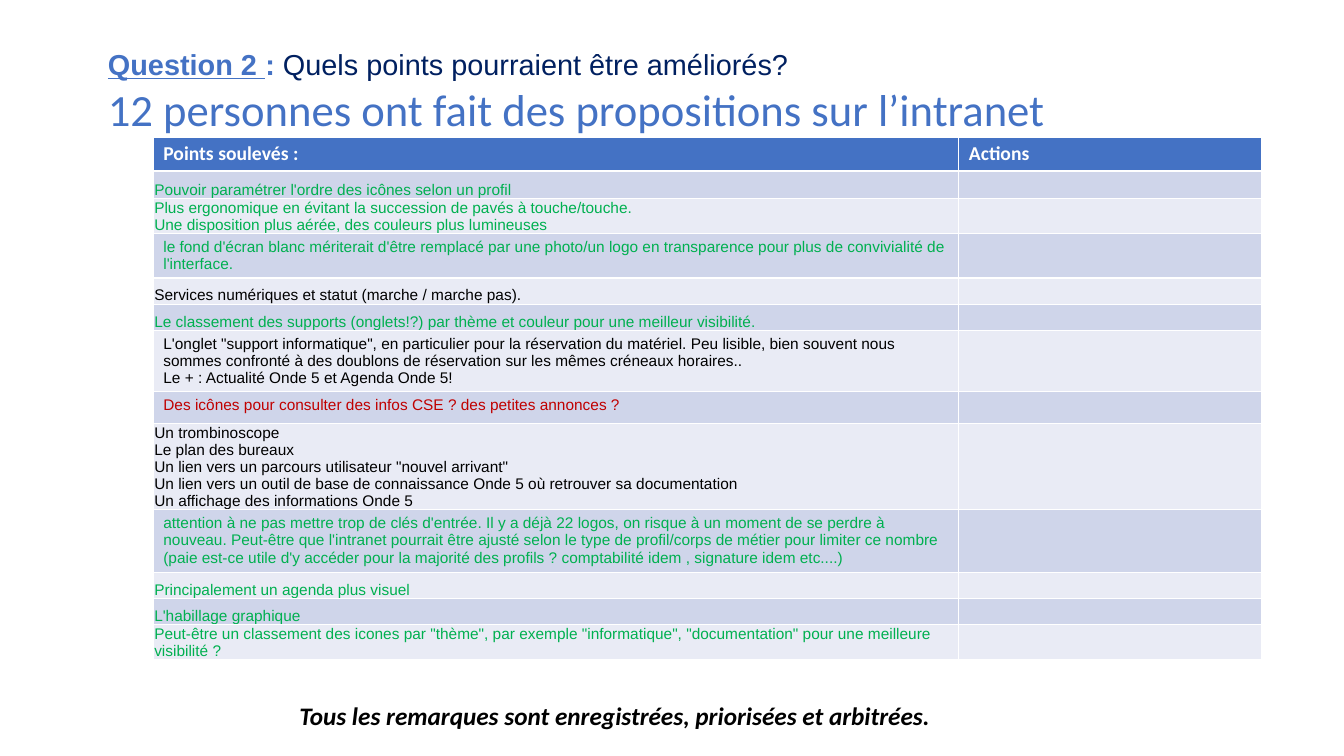
from pptx import Presentation
from pptx import util as u
from pptx.dml import color
from pptx.enum import text
from pptx.oxml import ns

BLUE, NAVY, GREEN, RED = "4472C4", "002060", "00B050", "C00000"
BLACK, WHITE = "000000", "FFFFFF"
BANDS = ("CFD5EA", "E9EBF5")
TIGHT = {"margin_left": u.Inches(0.01), "margin_right": u.Inches(0.01),
         "margin_top": u.Inches(0.01), "margin_bottom": 0,
         "vertical_anchor": text.MSO_ANCHOR.BOTTOM}
ROOMY = {"vertical_anchor": text.MSO_ANCHOR.TOP}

POINTS = [
    (0.27, GREEN, TIGHT, ["Pouvoir paramétrer l'ordre des icônes selon un profil"]),
    (0.35, GREEN, TIGHT, [
        "Plus ergonomique en évitant la succession de pavés à touche/touche.",
        "Une disposition plus aérée, des couleurs plus lumineuses"]),
    (0.44, GREEN, ROOMY, [
        "le fond d'écran blanc mériterait d'être remplacé par une photo/un logo en "
        "transparence pour plus de convivialité de l'interface."]),
    (0.26, BLACK, TIGHT, ["Services numériques et statut (marche / marche pas)."]),
    (0.26, GREEN, TIGHT, [
        "Le classement des supports (onglets!?) par thème et couleur pour une "
        "meilleur visibilité."]),
    (0.61, BLACK, ROOMY, [
        "L'onglet \"support informatique\", en particulier pour la réservation du "
        "matériel. Peu lisible, bien souvent nous sommes confronté à des doublons de "
        "réservation sur les mêmes créneaux horaires..",
        "Le + : Actualité Onde 5 et Agenda Onde 5!"]),
    (0.31, RED, ROOMY, [
        "Des icônes pour consulter des infos CSE ? des petites annonces ?"]),
    (0.86, BLACK, TIGHT, [
        "Un trombinoscope",
        "Le plan des bureaux",
        "Un lien vers un parcours utilisateur \"nouvel arrivant\"",
        "Un lien vers un outil de base de connaissance Onde 5 où retrouver sa "
        "documentation",
        "Un affichage des informations Onde 5"]),
    (0.62, GREEN, ROOMY, [
        "attention à ne pas mettre trop de clés d'entrée. Il y a déjà 22 logos, on "
        "risque à un moment de se perdre à nouveau. Peut-être que l'intranet pourrait "
        "être ajusté selon le type de profil/corps de métier pour limiter ce nombre "
        "(paie est-ce utile d'y accéder pour la majorité des profils ? comptabilité "
        "idem , signature idem etc....)"]),
    (0.26, GREEN, TIGHT, ["Principalement un agenda plus visuel"]),
    (0.26, GREEN, TIGHT, ["L'habillage graphique"]),
    (0.34, GREEN, TIGHT, [
        "Peut-être un classement des icones par \"thème\", par exemple "
        "\"informatique\", \"documentation\" pour une meilleure visibilité ?"]),
]


def rgb(value):
    """Return the colour for a hex string."""
    return color.RGBColor.from_string(value)


def apply(target, values):
    """Set each attribute of a dict on the target."""
    for name, value in values.items():
        setattr(target, name, value)


def add_run(paragraph, words, hex_color, **font):
    """Add a formatted run to a paragraph."""
    run = paragraph.add_run()
    run.text = words
    apply(run.font, font)
    run.font.color.rgb = rgb(hex_color)


def write_lines(frame, lines, hex_color, **font):
    """Write each line as one paragraph of a text frame."""
    for index, line in enumerate(lines):
        paragraph = frame.add_paragraph() if index else frame.paragraphs[0]
        add_run(paragraph, line, hex_color, **font)


def fill_cell(cell, hex_color):
    """Give a table cell a solid fill."""
    cell.fill.solid()
    cell.fill.fore_color.rgb = rgb(hex_color)


def shrink_empty(cell, points):
    """Set the text size of an empty cell."""
    paragraph = cell.text_frame.paragraphs[0]._p
    end = paragraph.makeelement(ns.qn("a:endParaRPr"), {"sz": str(points * 100)})
    paragraph.append(end)


def add_title(slide):
    """Place and write the two-line title."""
    title = slide.shapes.title
    apply(title, {"left": u.Inches(0.97), "top": u.Inches(0.4),
                  "width": u.Inches(11.54), "height": u.Inches(1.12)})
    frame = title.text_frame
    apply(frame, {"word_wrap": True, "auto_size": text.MSO_AUTO_SIZE.NONE,
                  "vertical_anchor": text.MSO_ANCHOR.TOP})
    question, answer = frame.paragraphs[0], frame.add_paragraph()
    for paragraph in (question, answer):
        apply(paragraph, {"alignment": text.PP_ALIGN.LEFT, "line_spacing": 0.7})
    answer.space_before = u.Pt(10)
    small = {"size": u.Pt(20.6), "name": "Arial"}
    large = {"size": u.Pt(31.9), "name": "Calibri"}
    add_run(question, "Question 2 ", BLUE, bold=True, underline=True, **small)
    add_run(question, ": ", BLUE, bold=True, **small)
    add_run(question, "Quels points pourraient être améliorés? ", NAVY, **small)
    add_run(question, "\t", NAVY, **large)
    add_run(answer, "12 personnes ont fait des propositions sur l’intranet", BLUE, **large)


def add_points_table(slide):
    """Add the table of points raised and actions."""
    heights = [0.33] + [point[0] for point in POINTS]
    table = slide.shapes.add_table(
        len(heights), 2, u.Inches(1.52), u.Inches(1.36),
        u.Inches(10.99), u.Inches(sum(heights))).table
    for column, width in zip(table.columns, (7.99, 3)):
        column.width = u.Inches(width)
    for row, height in zip(table.rows, heights):
        row.height = u.Inches(height)
    for cell, label in zip(table.rows[0].cells, ("Points soulevés :", "Actions")):
        fill_cell(cell, BLUE)
        write_lines(cell.text_frame, [label], WHITE,
                    size=u.Pt(14), name="Calibri", bold=True)
    for index, (_, hex_color, layout, lines) in enumerate(POINTS):
        point, action = table.rows[index + 1].cells
        for cell in (point, action):
            fill_cell(cell, BANDS[index % 2])
        apply(point, layout)
        write_lines(point.text_frame, lines, hex_color,
                    size=u.Pt(11), name="Arial", bold=False)
        shrink_empty(action, 9)


def add_conclusion(slide):
    """Add the closing remark under the table."""
    box = slide.shapes.add_textbox(
        u.Inches(2.87), u.Inches(6.9), u.Inches(6.83), u.Inches(0.4))
    box.text_frame.word_wrap = True
    write_lines(box.text_frame,
                ["Tous les remarques sont enregistrées, priorisées et arbitrées."],
                BLACK, size=u.Pt(18), name="Calibri", bold=True, italic=True)


def main():
    """Build and save the slide."""
    presentation = Presentation()
    apply(presentation, {"slide_width": u.Inches(13.33), "slide_height": u.Inches(7.5)})
    slide = presentation.slides.add_slide(presentation.slide_layouts[5])
    add_title(slide)
    add_points_table(slide)
    add_conclusion(slide)
    presentation.save("out.pptx")


if __name__ == "__main__":
    main()
